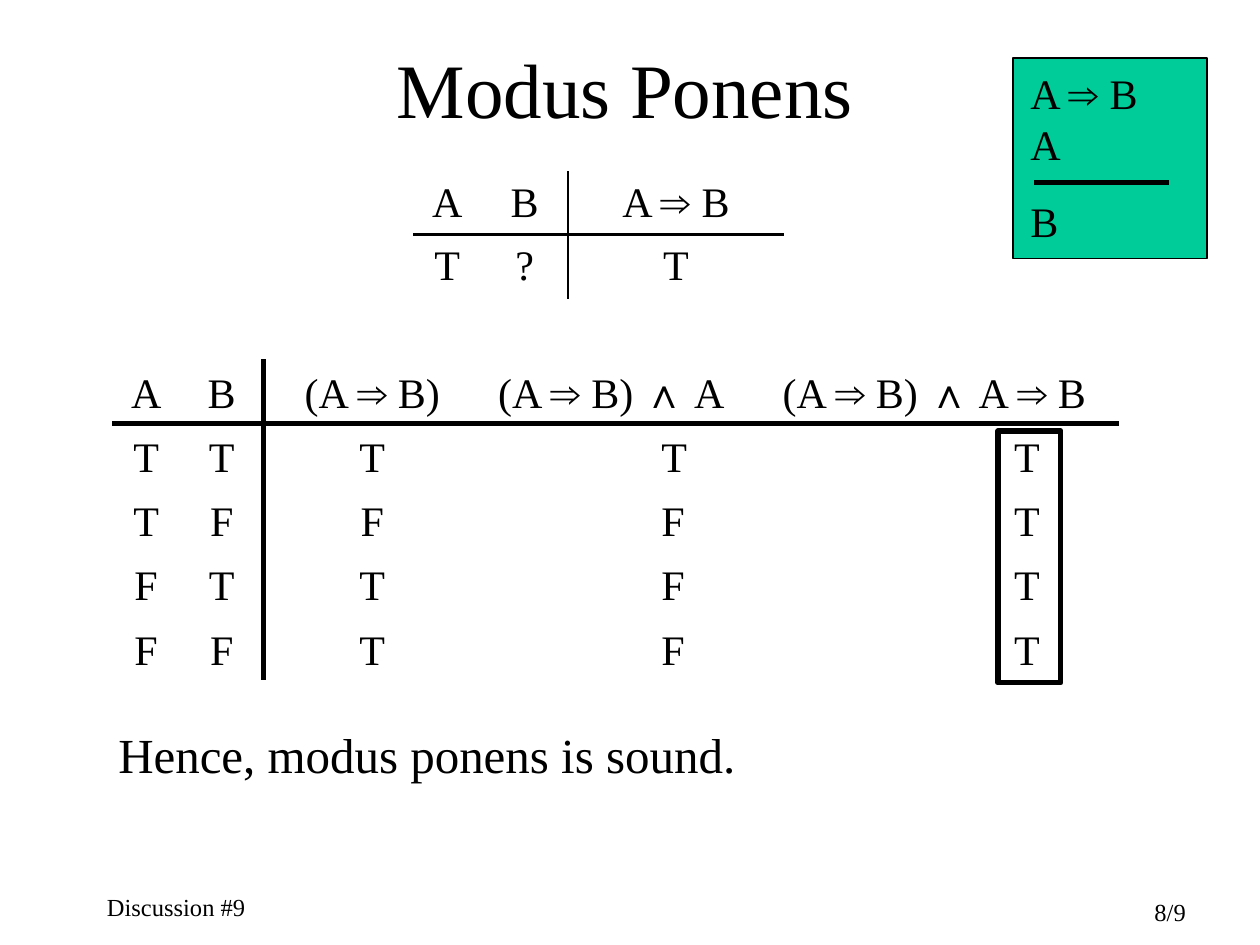
"""Build the Modus Ponens slide with its two truth tables."""
from itertools import accumulate, groupby

from lxml.etree import SubElement
from pptx import Presentation
from pptx.dml.color import RGBColor
from pptx.enum.shapes import MSO_CONNECTOR, MSO_SHAPE
from pptx.enum.text import MSO_ANCHOR, MSO_AUTO_SIZE, PP_ALIGN
from pptx.oxml import parse_xml
from pptx.oxml.ns import nsdecls, qn
from pptx.util import Inches, Pt

COLORS = {"ink": "000000", "panel": "00CC99"}
CENTER = {"alignment": PP_ALIGN.CENTER}
SPACED = {"space_before": Pt(6)}
PLAIN_GRID = "{2D5ABB26-0587-4C30-8999-92F81FD0307C}"


class Deck:
    """Style and current slide, with one method per kind of element."""

    font, math, signs = "Times New Roman", "Arial", "⇒∧"

    def __init__(self, width, height):
        self.show = Presentation()
        self.show.slide_width = Inches(width)
        self.show.slide_height = Inches(height)
        self.slide = self.show.slides.add_slide(self.show.slide_layouts[5])
        self.shapes = self.slide.shapes

    def color(self, name):
        return RGBColor.from_string(COLORS[name])

    def words(self, para, text, size, form):
        for key, value in form.items():
            setattr(para, key, value)
        for sign, chars in groupby(text, lambda char: char in self.signs):
            run = para.add_run()
            run.text = "".join(chars)
            run.font.name = self.math if sign else self.font
            run.font.size = Pt(size)
            run.font.color.rgb = self.color("ink")

    def title(self, text, box, size):
        shape = self.shapes.title
        shape.left, shape.top, shape.width, shape.height = map(Inches, box)
        frame = shape.text_frame
        form = {"auto_size": MSO_AUTO_SIZE.NONE, "vertical_anchor": MSO_ANCHOR.MIDDLE,
                "margin_left": 0, "margin_right": 0, "margin_top": 0, "margin_bottom": 0}
        for key, value in form.items():
            setattr(frame, key, value)
        self.words(frame.paragraphs[0], text, size, CENTER)

    def text(self, lines, box, size=24, anchor=MSO_ANCHOR.TOP, indent=0):
        frame = self.shapes.add_textbox(*map(Inches, box)).text_frame
        frame.word_wrap = True
        frame.vertical_anchor = anchor
        for index, (text, form) in enumerate(lines):
            para = frame.add_paragraph() if index else frame.paragraphs[0]
            self.words(para, text, size, form)
            if indent:
                para._p.get_or_add_pPr().set("marL", str(Inches(indent)))

    def rect(self, box, weight, fill=None):
        shape = self.shapes.add_shape(MSO_SHAPE.RECTANGLE, *map(Inches, box))
        shape.shadow.inherit = False
        if fill:
            shape.fill.solid()
            shape.fill.fore_color.rgb = self.color(fill)
        else:
            shape.fill.background()
        shape.line.color.rgb = self.color("ink")
        shape.line.width = Pt(weight)

    def line(self, start, end, weight=3):
        rule = self.shapes.add_connector(
            MSO_CONNECTOR.STRAIGHT, *map(Inches, (*start, *end)))
        rule.line.color.rgb = self.color("ink")
        rule.line.width = Pt(weight)
        SubElement(rule._element.spPr, qn("a:effectLst"))

    def border(self, cell, sides, weight=1.5):
        props = cell._tc.get_or_add_tcPr()
        for index, side in enumerate(sides):
            props.insert(index, parse_xml(
                f'<a:ln{side} {nsdecls("a")} w="{Pt(weight)}"><a:solidFill>'
                f'<a:srgbClr val="{COLORS["ink"]}"/></a:solidFill></a:ln{side}>'))

    def table(self, rows, left, top, widths, heights):
        box = map(Inches, (left, top, sum(widths), sum(heights)))
        frame = self.shapes.add_table(len(rows), len(widths), *box)
        grid = frame.table
        grid.first_row = grid.horz_banding = False
        grid._tbl.tblPr.find(qn("a:tableStyleId")).text = PLAIN_GRID
        for col, width in zip(grid.columns, widths):
            col.width = Inches(width)
        for r, (row, height) in enumerate(zip(rows, heights)):
            grid.rows[r].height = Inches(height)
            for c, text in enumerate(row):
                cell = grid.cell(r, c)
                cell.vertical_anchor = MSO_ANCHOR.MIDDLE
                cell.fill.background()
                self.words(cell.text_frame.paragraphs[0], text, 24, CENTER | SPACED)
                side = ("", "R", "L")[c]
                self.border(cell, side + ("T" if r else "B"))

    def truth(self, rows, left, top, widths, step, indents):
        lefts = list(accumulate(widths, initial=left))
        for r, row in enumerate(rows):
            for c, text in enumerate(row):
                indent = indents.get(c, 0) if r else 0
                form = SPACED if indent else CENTER | SPACED
                box = (lefts[c], top + r * step, widths[c], step)
                self.text([(text, form)], box, anchor=MSO_ANCHOR.MIDDLE, indent=indent)
        self.line((left, top + step), (lefts[-1], top + step))
        self.line((lefts[2], top), (lefts[2], top + len(rows) * step))


def main():
    deck = Deck(10, 7.5)
    deck.text([("Discussion #9", {})], (0.75, 7.03, 2.08, 0.33), 14)
    deck.text([("8/9", {"alignment": PP_ALIGN.RIGHT})], (7.43, 7.07, 2.08, 0.29), 14)
    deck.title("Modus Ponens", (0.71, 0.36, 8.5, 0.68), 44)

    heads = ["A", "B", "(A ⇒ B)", "(A ⇒ B) ∧ A ", "(A ⇒ B) ∧ A ⇒ B"]
    values = ["TTTTT", "TFFFT", "FTTFT", "FFTFT"]
    deck.truth([heads, *values], 0.89, 2.85, [0.54, 0.66, 1.73, 2.13, 2.93],
               0.51, {3: 1.33, 4: 2})
    deck.table([["A", "B", "A ⇒ B"], ["T", "?", "T"]],
               3.28, 1.36, [0.54, 0.69, 1.71], [0.5, 0.51])
    deck.text([("Hence, modus ponens is sound.", {"space_before": Pt(17.5)})],
              (0.84, 5.7, 7.99, 0.57), 28)

    deck.rect((8.04, 0.46, 1.54, 1.59), 0.75, "panel")
    gap = {"space_before": Pt(15)}
    deck.text([("A ⇒ B", gap), ("A", {}), ("B", gap)], (8.08, 0.49, 1.46, 1.51))
    deck.line((8.21, 1.45), (9.28, 1.45))
    deck.rect((7.92, 3.42, 0.5, 2), 3)
    deck.show.save("out.pptx")


if __name__ == "__main__":
    main()
